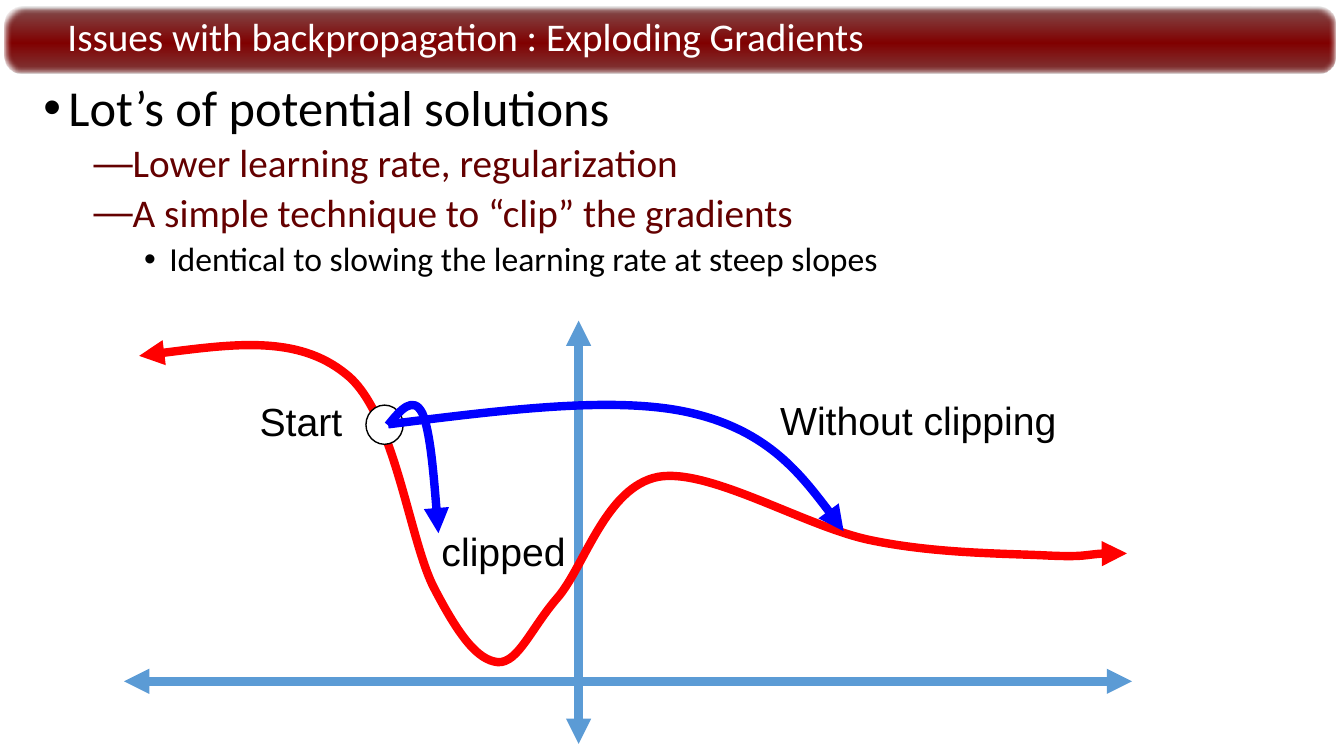
from dataclasses import dataclass
from typing import Optional

import lxml.etree
import pptx
import pptx.dml.color
import pptx.enum.shapes
import pptx.enum.text
import pptx.oxml.ns
import pptx.util

Pt = pptx.util.Pt
qn = pptx.oxml.ns.qn

COLOURS = {
    "black": "000000", "white": "FFFFFF", "maroon": "640000",
    "axis": "5B9BD5", "loss": "FF0000", "step": "0000FF",
}
BANNER_STOPS = [  # position %, colour, opacity %
    (0, "808080", 50), (5, "814949", 100), (54, "800000", 100),
    (96, "7F3838", 100), (99.5, "7F6060", 100), (100, "808080", 50),
]
Point = tuple[float, float]


@dataclass
class TextLine:
    text: str
    size: float
    colour: str = "black"
    font: str = "Calibri"
    level: int = 0
    bullet: Optional[str] = None
    space_before: float = 0
    line_spacing: float = 0.9
    centred: bool = False


@dataclass
class TextArea:
    left: float
    top: float
    width: float
    height: float
    lines: list[TextLine]
    inset: Optional[float] = None
    middle: bool = False


@dataclass
class Axis:
    start: Point
    end: Point


@dataclass
class Curve:
    """A chain of cubic Béziers: a start, then three points per segment."""
    points: list[Point]
    colour: str
    arrow_at_start: bool = False


def label(text: str, left: float, top: float, width: float) -> TextArea:
    line = TextLine(text, 28, font="Arial", line_spacing=1, centred=True)
    return TextArea(left, top, width, 41, [line])


TITLE = TextArea(48.2, 7.9, 895, 39.6, [
    TextLine("Issues with backpropagation : Exploding Gradients", 28, "white"),
], inset=0, middle=True)
SOLUTIONS = TextArea(23.8, 55.4, 888, 468, [
    TextLine("Lot’s of potential solutions", 36, bullet="•"),
    TextLine("Lower learning rate, regularization", 28, "maroon", level=1, bullet="―", space_before=5),
    TextLine("A simple technique to “clip” the gradients", 28, "maroon", level=1, bullet="―", space_before=5),
    TextLine("Identical to slowing the learning rate at steep slopes", 24, level=2, bullet="•", space_before=5),
])
AXES = [Axis((88.6, 486.7), (808.6, 486.7)), Axis((413.3, 229), (413.3, 531.4))]
LOSS = Curve([
    (99.4, 254.2),
    (155.5, 247), (212.4, 239), (247, 267.1),
    (282.2, 294.5), (292.3, 386.6), (310.3, 420.5),
    (328.3, 455), (341.3, 471.6), (355.7, 473),
    (370.1, 473.8), (379.4, 448.6), (398.2, 427),
    (417.6, 404.6), (432.7, 347.8), (470.2, 340.6),
    (506.9, 334.1), (576, 376.6), (622.1, 385.9),
    (667.4, 395.3), (715, 395.3), (745.9, 396.7),
    (776.2, 398.2), (776.9, 394.6), (805, 395.3),
], "loss", arrow_at_start=True)
UNCLIPPED_STEP = Curve([
    (277.2, 303.1),
    (358.6, 293), (440.6, 282.2), (494.6, 295.2),
    (549.4, 308.2), (582.5, 351.4), (602.6, 379.4),
], "step")
CLIPPED_STEP = Curve([
    (277.2, 303.8),
    (285.8, 293), (295.2, 282.2), (301.7, 295.2),
    (307.4, 308.2), (311, 352.8), (313.2, 380.9),
], "step")


def rgb(name: str) -> pptx.dml.color.RGBColor:
    return pptx.dml.color.RGBColor.from_string(COLOURS[name])


def add_text(slide, area: TextArea) -> None:
    shape = slide.shapes.add_textbox(Pt(area.left), Pt(area.top), Pt(area.width), Pt(area.height))
    frame = shape.text_frame
    frame.word_wrap = True
    if area.inset is not None:
        frame.margin_left = frame.margin_right = Pt(area.inset)
        frame.margin_top = frame.margin_bottom = Pt(area.inset)
    if area.middle:
        frame.vertical_anchor = pptx.enum.text.MSO_ANCHOR.MIDDLE
    frame.text = "\n".join(line.text for line in area.lines)
    for paragraph, line in zip(frame.paragraphs, area.lines):
        paragraph.level = line.level
        paragraph.line_spacing = line.line_spacing
        paragraph.space_before = Pt(line.space_before)
        if line.centred:
            paragraph.alignment = pptx.enum.text.PP_ALIGN.CENTER
        if line.bullet:
            properties = paragraph._p.get_or_add_pPr()
            properties.set("marL", str(Pt(18 + 36 * line.level)))
            properties.set("indent", str(Pt(-18)))
            lxml.etree.SubElement(properties, qn("a:buFont"), typeface="Arial")
            lxml.etree.SubElement(properties, qn("a:buChar"), char=line.bullet)
        font = paragraph.runs[0].font
        font.name, font.size = line.font, Pt(line.size)
        font.color.rgb = rgb(line.colour)


def style_stroke(shape, colour: str, ends: list[str]) -> None:
    shape.line.color.rgb = rgb(colour)
    shape.line.width = Pt(6)
    for end in ends:
        lxml.etree.SubElement(shape.line._get_or_add_ln(), qn(f"a:{end}"), type="triangle")


def add_axis(slide, axis: Axis) -> None:
    connector = slide.shapes.add_connector(
        pptx.enum.shapes.MSO_CONNECTOR.STRAIGHT,
        *(Pt(value) for value in axis.start + axis.end))
    style_stroke(connector, "axis", ["headEnd", "tailEnd"])
    lxml.etree.SubElement(connector._element.spPr, qn("a:effectLst"))


def add_curve(slide, curve: Curve) -> None:
    """Build the control polygon, then turn each three line steps into a cubic."""
    start, *controls = [(Pt(x), Pt(y)) for x, y in curve.points]
    builder = slide.shapes.build_freeform(*start)
    builder.add_line_segments(controls, close=False)
    shape = builder.convert_to_shape()
    outline = next(shape._element.iter(qn("a:path")))
    steps = outline.findall(qn("a:lnTo"))
    for first in range(0, len(steps), 3):
        cubic = lxml.etree.SubElement(outline, qn("a:cubicBezTo"))
        for step in steps[first:first + 3]:
            cubic.append(step[0])
            outline.remove(step)
    shape.fill.background()
    shape.shadow.inherit = False
    style_stroke(shape, curve.colour, ["headEnd"] * curve.arrow_at_start + ["tailEnd"])


def add_banner(slide) -> None:
    banner = slide.shapes.add_shape(
        pptx.enum.shapes.MSO_SHAPE.ROUNDED_RECTANGLE, Pt(3.6), Pt(5), Pt(950.4), Pt(47.5))
    banner.adjustments[0] = 0.27
    banner.line.fill.background()
    banner.fill.gradient()
    banner.fill.gradient_angle = 270
    stops = next(banner._element.iter(qn("a:gsLst")))
    stops.clear()
    for position, colour, opacity in BANNER_STOPS:
        stop = lxml.etree.SubElement(stops, qn("a:gs"), pos=str(int(position * 1000)))
        tint = lxml.etree.SubElement(stop, qn("a:srgbClr"), val=colour)
        lxml.etree.SubElement(tint, qn("a:alpha"), val=str(opacity * 1000))
    banner.shadow.inherit = False
    effects = banner._element.spPr.find(qn("a:effectLst"))
    lxml.etree.SubElement(effects, qn("a:softEdge"), rad=str(Pt(2.5)))


def add_start_marker(slide) -> None:
    marker = slide.shapes.add_shape(
        pptx.enum.shapes.MSO_SHAPE.OVAL, Pt(261.4), Pt(289.4), Pt(26.6), Pt(28))
    marker.shadow.inherit = False
    marker.fill.solid()
    marker.fill.fore_color.rgb = rgb("white")
    marker.line.color.rgb = rgb("black")
    marker.line.width = Pt(1)


def main() -> None:
    presentation = pptx.Presentation()
    presentation.slide_width, presentation.slide_height = Pt(960), Pt(540)
    slide = presentation.slides.add_slide(presentation.slide_layouts[6])
    add_banner(slide)
    add_text(slide, SOLUTIONS)
    add_text(slide, TITLE)
    for axis in AXES:
        add_axis(slide, axis)
    add_curve(slide, LOSS)
    add_start_marker(slide)
    add_text(slide, label("Start", 168.5, 280, 92.9))
    add_curve(slide, UNCLIPPED_STEP)
    add_text(slide, label("Without clipping", 543.6, 279.4, 224.6))
    add_curve(slide, CLIPPED_STEP)
    add_text(slide, label("clipped", 295.2, 373, 128.9))
    presentation.save("out.pptx")


if __name__ == "__main__":
    main()
